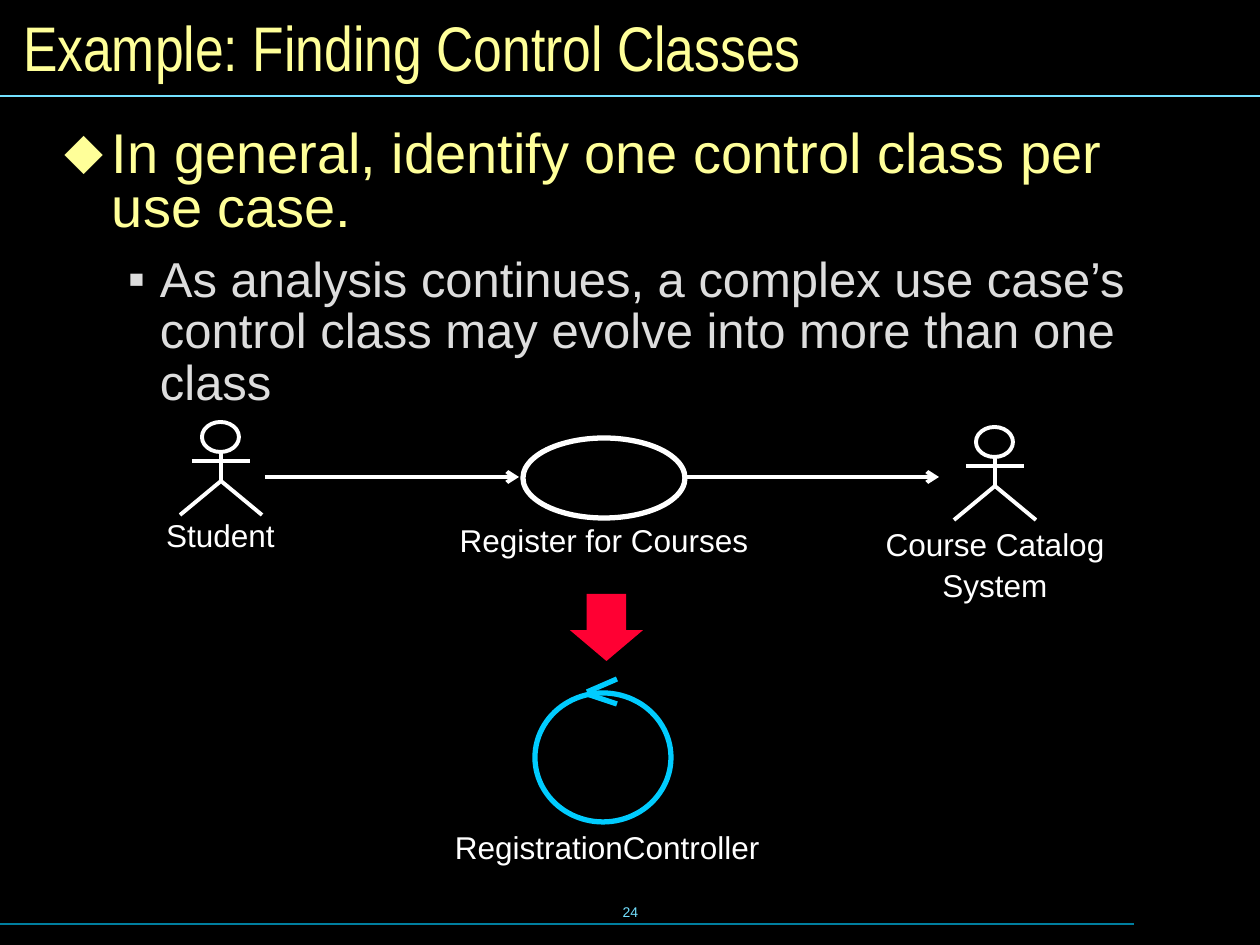
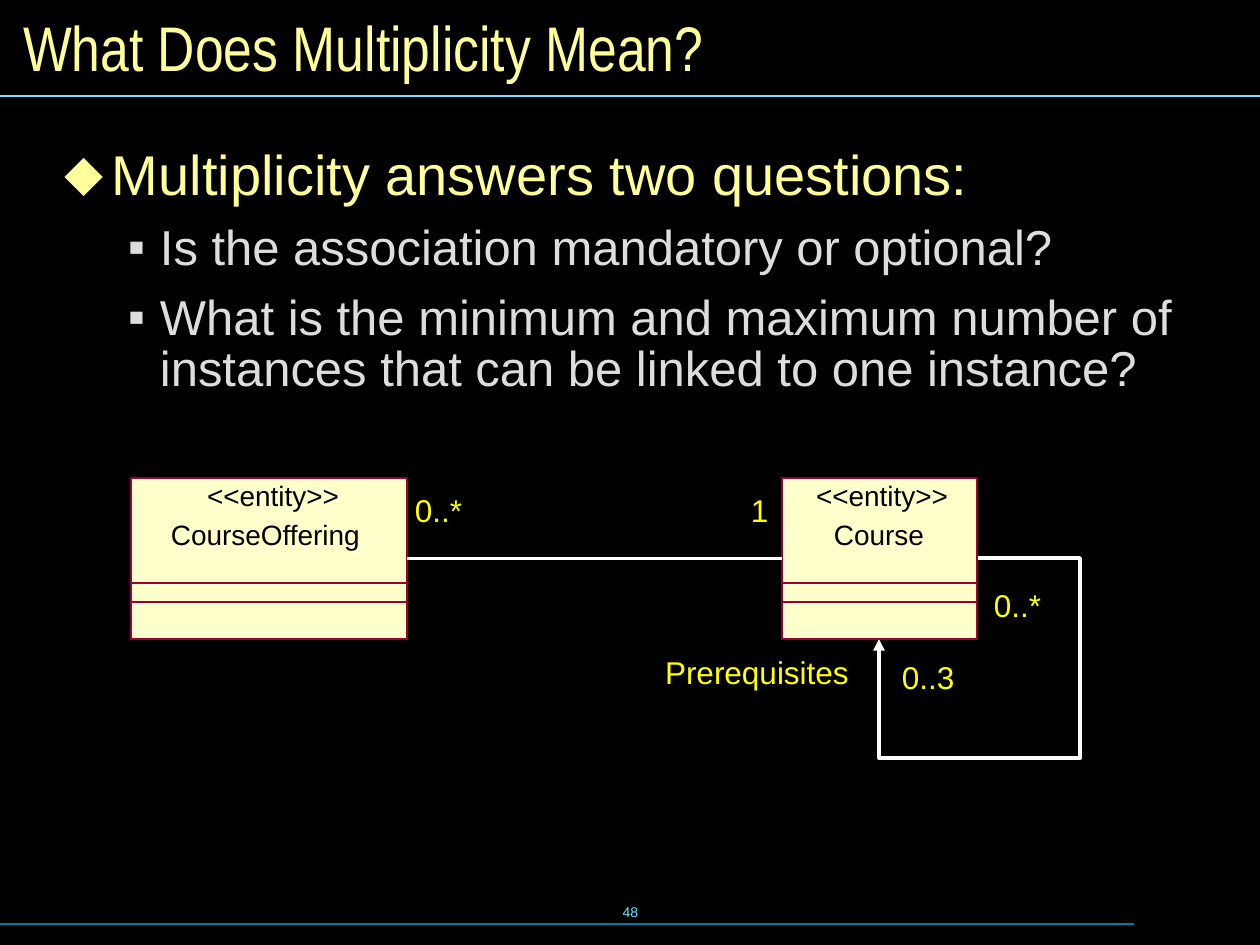
import pptx
import pptx.dml.color
import pptx.enum.shapes
import pptx.enum.text
import pptx.oxml
import pptx.oxml.ns
import pptx.util

PX = 914400 / 126
BACKGROUND = "000000"
PALE_YELLOW = "FFFF99"
GREY = "DDDDDD"
WHITE = "FFFFFF"
CYAN = "73E1FF"
TEAL = "007E9F"
BLUE = "00CCFF"
RED = "FF0033"
CREAM = "FFFFCC"
MAROON = "990033"
YELLOW = "FFFF00"

SHAPE = pptx.enum.shapes.MSO_SHAPE
ALIGN = pptx.enum.text.PP_ALIGN
ANCHOR = pptx.enum.text.MSO_ANCHOR
AUTO = pptx.enum.text.MSO_AUTO_SIZE

BULLET_LEVELS = [
    dict(size=32, color=PALE_YELLOW, mark="⬥", left=47, hang=47, spacing=0.8, before=12),
    dict(size=28, color=GREY, mark="▪", left=95, hang=32, spacing=0.87, before=10.5),
]


def px(value):
    return round(value * PX)


def rgb(color):
    return pptx.dml.color.RGBColor.from_string(color)


def assign(target, values):
    for key, value in values.items():
        setattr(target, key, value)


def add_xml(parent, tag, **attributes):
    child = pptx.oxml.parse_xml(f"<a:{tag} {pptx.oxml.ns.nsdecls('a')}/>")
    for key, value in attributes.items():
        child.set(key, str(value))
    parent.append(child)
    return child


def stroke(item, color, width, arrowhead=None):
    item.line.color.rgb = rgb(color)
    item.line.width = pptx.util.Pt(width)
    if arrowhead:
        add_xml(item.line._get_or_add_ln(), "tailEnd", type=arrowhead)


def line(shapes, start, end, color, width, arrowhead=None):
    connector = shapes.add_connector(
        pptx.enum.shapes.MSO_CONNECTOR.STRAIGHT, *map(px, (*start, *end)))
    stroke(connector, color, width, arrowhead)
    add_xml(connector._element.spPr, "effectLst")
    return connector


def paint(item, fill):
    item.shadow.inherit = False
    if fill:
        item.fill.solid()
        item.fill.fore_color.rgb = rgb(fill)
    else:
        item.fill.background()


def figure(shapes, kind, box, fill=None, outline=None, width=0):
    item = shapes.add_shape(kind, *map(px, box))
    paint(item, fill)
    if outline:
        stroke(item, outline, width)
    else:
        item.line.fill.background()
    return item


def polyline(shapes, points, color, width, arrowhead=None):
    builder = shapes.build_freeform(*points[0], scale=PX)
    builder.add_line_segments(points[1:], close=False)
    item = builder.convert_to_shape()
    paint(item, None)
    stroke(item, color, width, arrowhead)


def text_frame(slide, box, inset=(0, 0), **values):
    frame = slide.shapes.add_textbox(*map(px, box)).text_frame
    across, down = map(px, inset)
    assign(frame, dict(margin_left=across, margin_right=across,
                       margin_top=down, margin_bottom=down, **values))
    return frame


def write(paragraph, text, size, color, font="Arial", **values):
    paragraph.text = text
    assign(paragraph, values)
    assign(paragraph.font, dict(size=pptx.util.Pt(size), name=font))
    paragraph.font.color.rgb = rgb(color)


def caption(slide, box, lines):
    frame = text_frame(slide, box, (13, 6), word_wrap=True,
                       auto_size=AUTO.SHAPE_TO_FIT_TEXT)
    write(frame.paragraphs[0], lines[0], 18, WHITE, alignment=ALIGN.CENTER)
    for text in lines[1:]:
        write(frame.add_paragraph(), text, 18, WHITE, alignment=ALIGN.CENTER,
              line_spacing=0.5, space_before=pptx.util.Pt(11.2))


def tag(slide, box, text, size=18, color=YELLOW):
    frame = text_frame(slide, box, word_wrap=False, auto_size=AUTO.SHAPE_TO_FIT_TEXT)
    write(frame.paragraphs[0], text, size, color)


def base_slide(deck, title, number):
    slide = deck.slides.add_slide(deck.slide_layouts[6])
    slide.background.fill.solid()
    slide.background.fill.fore_color.rgb = rgb(BACKGROUND)
    footer = text_frame(slide, (431, 880, 399, 63), (13, 6), word_wrap=False,
                        vertical_anchor=ANCHOR.MIDDLE)
    write(footer.paragraphs[0], number, 8, CYAN, alignment=ALIGN.CENTER)
    line(slide.shapes, (0, 924), (1134, 924), TEAL, 0.75)
    line(slide.shapes, (0, 96), (1260, 96), CYAN, 0.75)
    heading = text_frame(slide, (10, 10, 1240, 73), (13, 6), word_wrap=True,
                         vertical_anchor=ANCHOR.MIDDLE)
    write(heading.paragraphs[0], title, 36, PALE_YELLOW, "Arial Narrow")
    return slide


def bullet_list(slide, box, entries):
    frame = text_frame(slide, box, (15, 8), word_wrap=True)
    for index, (level, text) in enumerate(entries):
        look = BULLET_LEVELS[level]
        paragraph = frame.add_paragraph() if index else frame.paragraphs[0]
        properties = paragraph._p.get_or_add_pPr()
        properties.set("marL", str(px(look["left"])))
        properties.set("indent", str(-px(look["hang"])))
        mark_color = add_xml(properties, "buClr")
        add_xml(mark_color, "srgbClr", val=look["color"])
        add_xml(properties, "buFont", typeface="Arial")
        add_xml(properties, "buChar", char=look["mark"])
        write(paragraph, text, look["size"], look["color"], level=level,
              line_spacing=look["spacing"],
              space_before=pptx.util.Pt(look["before"] if index else 0))


def actor(slide, left, top):
    shapes = slide.shapes.add_group_shape().shapes
    center = left + 41
    figure(shapes, SHAPE.OVAL, (left + 22, top, 37, 30), None, WHITE, 2.25)
    line(shapes, (center, top + 30), (center, top + 59), WHITE, 2.25)
    line(shapes, (left + 12, top + 39), (left + 70, top + 39), WHITE, 2.25)
    polyline(shapes, [(left, top + 93), (center, top + 59), (left + 82, top + 93)],
             WHITE, 2.25)


def controller(slide, left, top):
    shapes = slide.shapes.add_group_shape().shapes
    figure(shapes, SHAPE.OVAL, (left, top + 14, 136, 129), None, BLUE, 3)
    for tip, meet in ((0, 13), (25, 15)):
        line(shapes, (left + 82, top + tip), (left + 52, top + meet), BLUE, 3)


def use_case_diagram(slide, left, top):
    actor(slide, left + 69, top)
    caption(slide, (left, top + 88, 219, 50), ["Student"])
    actor(slide, left + 843, top + 5)
    caption(slide, (left + 704, top + 97, 360, 89), ["Course Catalog", "System"])
    figure(slide.shapes, SHAPE.OVAL, (left + 412, top + 16, 162, 80), None, WHITE, 3)
    caption(slide, (left + 287, top + 93, 412, 50), ["Register for Courses"])
    for start, end in ((154, 408), (574, 828)):
        line(slide.shapes, (left + start, top + 55), (left + end, top + 55),
             WHITE, 2.25, "arrow")
    down_arrow = figure(slide.shapes, SHAPE.DOWN_ARROW,
                        (left + 459, top + 172, 73, 67), RED)
    down_arrow.adjustments[0] = 0.54
    down_arrow.adjustments[1] = 0.46
    controller(slide, left + 424, top + 257)
    tag(slide, (left + 344, top + 406, 305, 38), "RegistrationController", 18, WHITE)


def entity(slide, box, name, stereotype_left, name_left, name_width):
    left, top, width, height = box
    body = figure(slide.shapes, SHAPE.RECTANGLE, box, CREAM, MAROON)
    for offset in (105, 124):
        figure(slide.shapes, SHAPE.RECTANGLE,
               (left, top + offset, width, height - offset), None, MAROON)
    tag(slide, (left + stereotype_left, top + 1, 132, 34), "<<entity>>", 16, BACKGROUND)
    tag(slide, (left + name_left, top + 40, name_width, 34), name, 16, BACKGROUND)
    return body


def prerequisite_loop(slide, left, top):
    right, bottom, joint = left + 201, top + 200, (left + 201, top + 148)
    polyline(slide.shapes, [joint, (right, bottom), (left, bottom), (left, top + 81)],
             WHITE, 2.25, "triangle")
    polyline(slide.shapes, [joint, (right, top), (left + 98, top)], WHITE, 2.25)


def class_diagram(slide, left, top):
    prerequisite_loop(slide, left + 748, top + 80)
    course = entity(slide, (left + 651, top, 195, 161), "Course", 34, 52, 91)
    offering = entity(slide, (left, top, 276, 161), "CourseOffering", 76, 40, 189)
    association = line(slide.shapes, (left + 651, top + 80), (left + 276, top + 80),
                       WHITE, 2.25)
    association.begin_connect(course, 1)
    association.end_connect(offering, 3)
    for text, across, down, width in (
        ("Prerequisites", 534, 175, 184),
        ("0..3", 771, 180, 53),
        ("0..*", 863, 108, 48),
        ("0..*", 284, 13, 48),
        ("1", 620, 13, 18),
    ):
        tag(slide, (left + across, top + down, width, 38), text)


def main():
    deck = pptx.Presentation()
    assign(deck, dict(slide_width=px(1260), slide_height=px(945)))

    control = base_slide(deck, "Example: Finding Control Classes", "24")
    bullet_list(control, (50, 123, 1171, 696), [
        (0, "In general, identify one control class per use case."),
        (1, "As analysis continues, a complex use case’s control class may evolve "
            "into more than one class"),
    ])
    use_case_diagram(control, 111, 422)

    multiplicity = base_slide(deck, "What Does Multiplicity Mean?", "48")
    bullet_list(multiplicity, (50, 145, 1171, 265), [
        (0, "Multiplicity answers two questions:"),
        (1, "Is the association mandatory or optional?"),
        (1, "What is the minimum and maximum number of instances that can be "
            "linked to one instance?"),
    ])
    class_diagram(multiplicity, 131, 478)

    deck.save("out.pptx")


if __name__ == "__main__":
    main()
